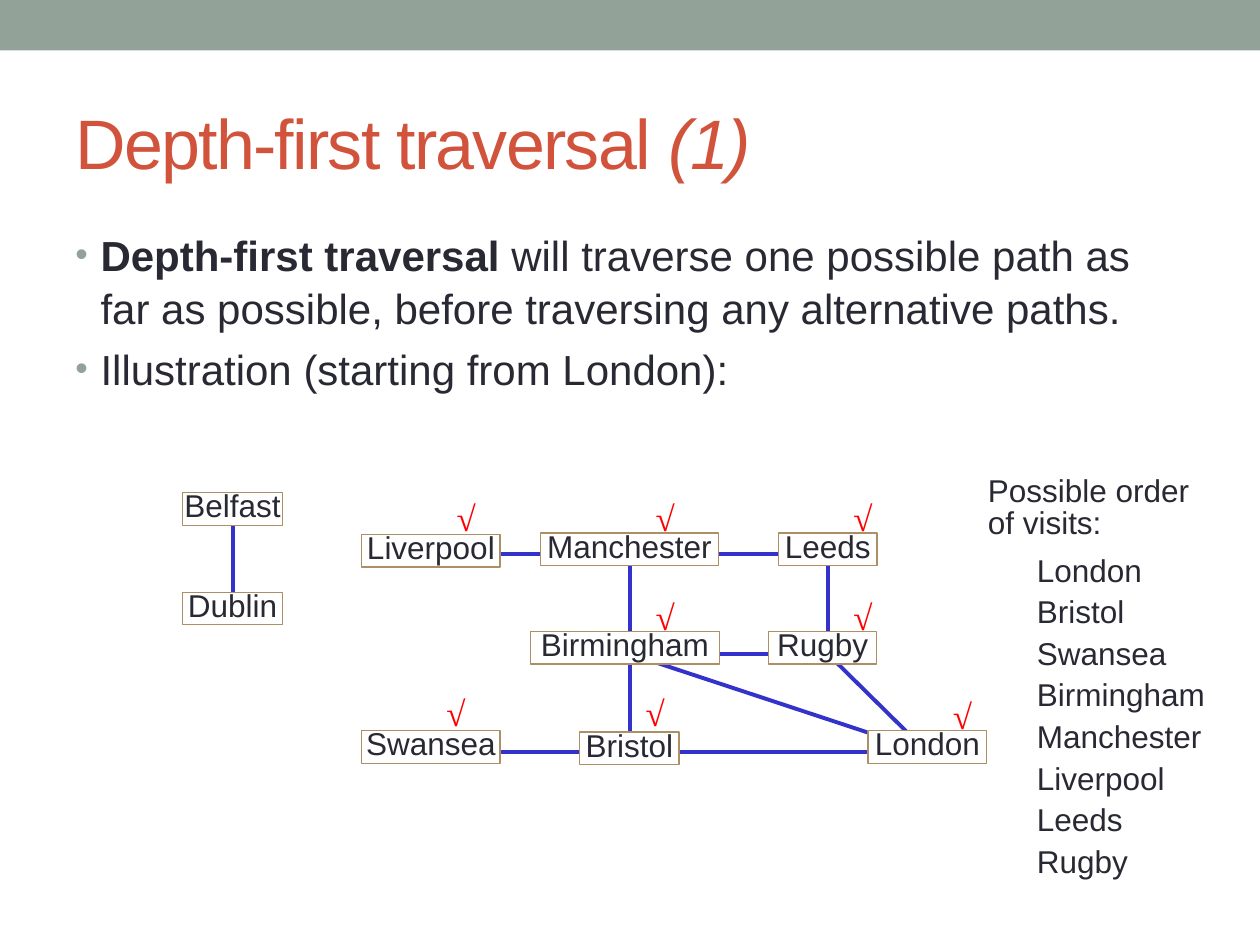
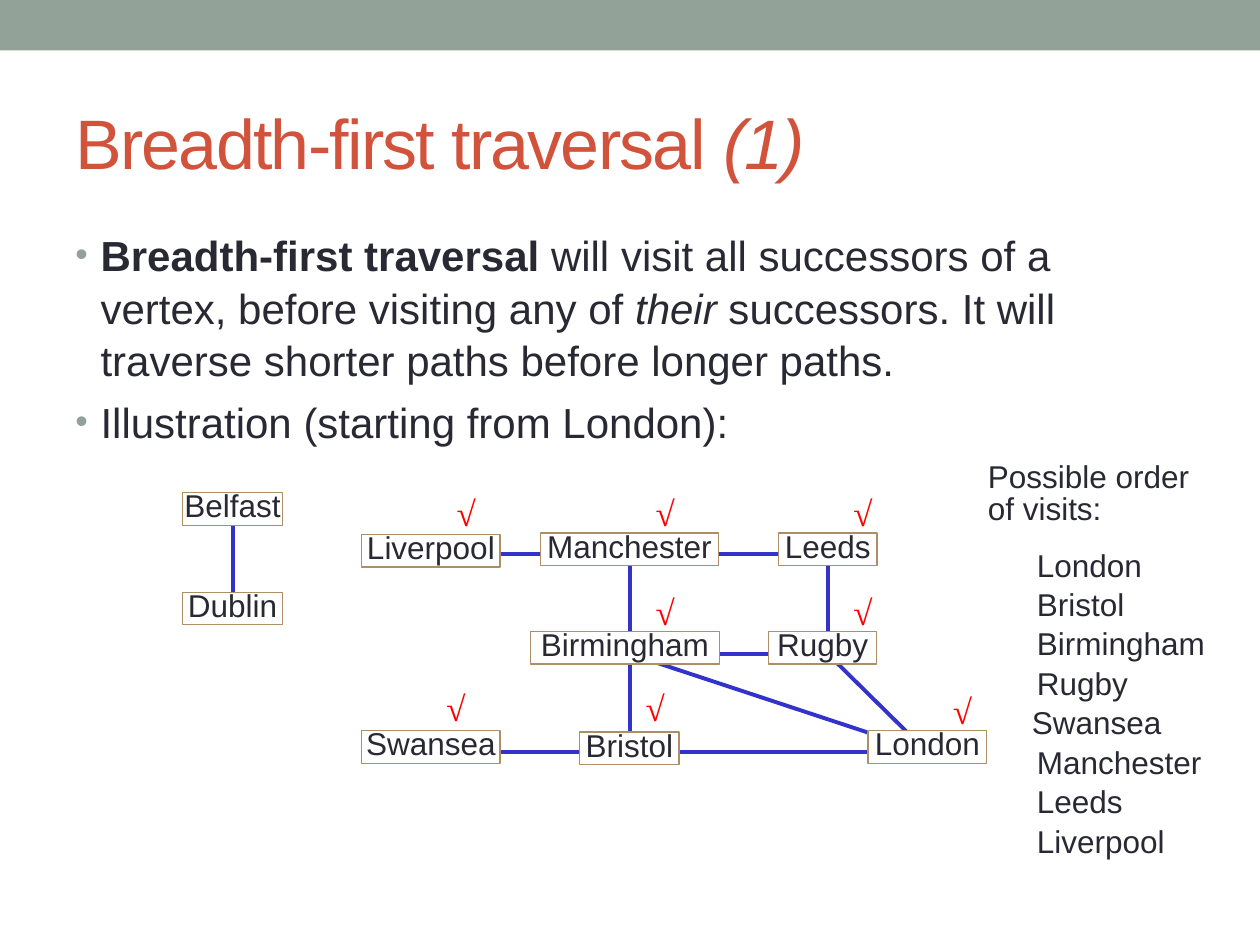
from lxml import etree
from pptx import Presentation
from pptx.dml.color import RGBColor
from pptx.enum.shapes import MSO_CONNECTOR as Connector, MSO_SHAPE as Shape
from pptx.enum.text import MSO_ANCHOR as Anchor, PP_ALIGN as Align
from pptx.oxml.ns import qn
from pptx.util import Inches, Pt

SAGE = RGBColor(0x93, 0xA2, 0x99)
BRICK = RGBColor(0xD2, 0x53, 0x3C)
INK = RGBColor(0x29, 0x29, 0x34)
EDGE_BLUE = RGBColor(0x33, 0x33, 0xCC)
TAN = RGBColor(0xAD, 0x8F, 0x67)
WHITE = RGBColor(0xFF, 0xFF, 0xFF)
RED = RGBColor(0xFF, 0x00, 0x00)

LABEL_HEIGHT = 0.26
CITY_LABELS = {
    "London": (6.89, 5.8, 0.94),
    "Manchester": (4.29, 4.23, 1.41),
    "Birmingham": (4.21, 5.01, 1.5),
    "Bristol": (4.6, 5.81, 0.79),
    "Swansea": (2.87, 5.8, 1.1),
    "Liverpool": (2.87, 4.24, 1.1),
    "Leeds": (6.18, 4.23, 0.78),
    "Rugby": (6.1, 5.01, 0.86),
    "Dublin": (1.45, 4.7, 0.79),
    "Belfast": (1.45, 3.91, 0.79),
}
VERTICES = {
    "London": (7.36, 5.97),
    "Manchester": (5, 4.4),
    "Birmingham": (5, 5.19),
    "Bristol": (5, 5.97),
    "Swansea": (3.42, 5.97),
    "Liverpool": (3.42, 4.4),
    "Leeds": (6.57, 4.4),
    "Rugby": (6.57, 5.19),
    "Dublin": (1.85, 4.85),
    "Belfast": (1.85, 4.07),
}
ROADS = [
    ("Manchester", "Birmingham"), ("Birmingham", "Bristol"),
    ("Leeds", "Rugby"), ("Rugby", "London"), ("Belfast", "Dublin"),
    ("Liverpool", "Manchester"), ("Manchester", "Leeds"),
    ("Birmingham", "Rugby"), ("Swansea", "Bristol"),
    ("Bristol", "London"), ("Birmingham", "London"),
]
CHECKS = {
    "London": (7.52, 5.51),
    "Bristol": (5.08, 5.49),
    "Swansea": (3.5, 5.49),
    "Birmingham": (5.16, 4.73),
    "Manchester": (5.16, 3.94),
    "Liverpool": (3.58, 3.94),
    "Leeds": (6.73, 3.94),
    "Rugby": (6.73, 4.73),
}


def add_span(para, text, size=18, color=INK, font="Arial", bold=False, italic=False, spacing=None):
    """Append formatted text to a paragraph."""
    span = para.add_run()
    span.text = text
    span.font.size = Pt(size)
    span.font.name = font
    span.font.bold = bold
    span.font.italic = italic
    span.font.color.rgb = color
    if spacing is not None:
        span.font._element.set("spc", str(spacing))


def prepare_frame(box, margins=(0, 0), anchor=Anchor.TOP):
    """Set wrapping, side and top margins and anchor, and return the frame."""
    frame = box.text_frame
    frame.word_wrap = True
    frame.vertical_anchor = anchor
    frame.margin_left = frame.margin_right = Inches(margins[0])
    frame.margin_top = frame.margin_bottom = Inches(margins[1])
    return frame


def add_text_box(shapes, at, margins=(0, 0), anchor=Anchor.TOP):
    """Add an empty text box and return its frame."""
    return prepare_frame(shapes.add_textbox(*map(Inches, at)), margins, anchor)


def add_rectangle(shapes, at, fill, line=None):
    """Add a flat rectangle, outlined if a line colour is given."""
    box = shapes.add_shape(Shape.RECTANGLE, *map(Inches, at))
    box.shadow.inherit = False
    box.fill.solid()
    box.fill.fore_color.rgb = fill
    if line is None:
        box.line.fill.background()
    else:
        box.line.color.rgb = line
        box.line.width = Pt(0.75)
    return box


def add_label(shapes, text, at):
    """Add a plain text label with fixed line height."""
    para = add_text_box(shapes, at).paragraphs[0]
    para.line_spacing = Pt(18)
    add_span(para, text)


def add_check(shapes, left, top):
    """Add a red tick that marks a visited city."""
    para = add_text_box(shapes, (left, top, 0.24, 0.33)).paragraphs[0]
    para.alignment = Align.CENTER
    add_span(para, "√", size=20, color=RED, font="Times New Roman", bold=True)


def add_road(shapes, start, end):
    """Join two vertices with a blue line."""
    road = shapes.add_connector(Connector.STRAIGHT, *map(Inches, start + end))
    road.line.color.rgb = EDGE_BLUE
    road.line.width = Pt(2.25)
    etree.SubElement(road._element.spPr, qn("a:effectLst"))


def add_city(shapes, name, left, top, width):
    """Add the boxed name of a city."""
    box = add_rectangle(shapes, (left, top, width, LABEL_HEIGHT), WHITE, TAN)
    para = prepare_frame(box).paragraphs[0]
    para.alignment = Align.CENTER
    para.line_spacing = Pt(18)
    add_span(para, name)


def add_city_graph(page):
    """Draw the road network as one group."""
    shapes = page.shapes.add_group_shape().shapes
    for start, end in ROADS:
        add_road(shapes, VERTICES[start], VERTICES[end])
    for name, place in CITY_LABELS.items():
        add_city(shapes, name, *place)


def set_bullet(para):
    """Give a paragraph a hanging sage bullet."""
    properties = para._p.get_or_add_pPr()
    properties.set("marL", str(Inches(0.2)))
    properties.set("indent", str(-Inches(0.2)))
    color = etree.SubElement(properties, qn("a:buClr"))
    etree.SubElement(color, qn("a:srgbClr"), val=str(SAGE))
    etree.SubElement(properties, qn("a:buSzPct"), val="85000")
    etree.SubElement(properties, qn("a:buFont"), typeface="Arial")
    etree.SubElement(properties, qn("a:buChar"), char="•")


def add_title(page, name):
    """Add the slide title with its italic part number."""
    frame = add_text_box(page.shapes, (0.5, 0.58, 9, 1.08), (0.1, 0.05), Anchor.MIDDLE)
    para = frame.paragraphs[0]
    style = dict(size=40, color=BRICK, spacing=-100)
    add_span(para, name + " ", **style)
    add_span(para, "(1)", italic=True, **style)


def add_bullets(page, bullets):
    """Add bullets, each a list of text and style pairs."""
    frame = add_text_box(page.shapes, (0.5, 1.75, 9, 5.33), (0.1, 0.05))
    for index, spans in enumerate(bullets):
        para = frame.add_paragraph() if index else frame.paragraphs[0]
        set_bullet(para)
        para.line_spacing = 1.05
        if index:
            para.space_before = Pt(4.8)
        for text, style in spans:
            add_span(para, text, size=24, **style)


def add_visits(page, order, heading_top, first_top, last_top, check_shift=0, nudges=None):
    """List the cities in visiting order, each grouped with its tick."""
    add_label(page.shapes, "Possible order of visits:", (7.84, heading_top, 1.73, 0.5))
    step = (last_top - first_top) / (len(order) - 1)
    for index, city in enumerate(order):
        shapes = page.shapes.add_group_shape().shapes
        left, top = CHECKS[city]
        add_check(shapes, left, top + check_shift)
        name_left = 8.23 + (nudges or {}).get(city, 0)
        add_label(shapes, city, (name_left, first_top + index * step, 1.34, 0.25))


def add_traversal_page(deck, name, explanation, **visits):
    """Build one slide that explains and illustrates a traversal."""
    page = deck.slides.add_slide(deck.slide_layouts[6])
    add_rectangle(page.shapes, (0, 0, 10, 0.4), SAGE)
    add_title(page, name)
    add_bullets(page, [
        [(name, dict(bold=True)), *explanation],
        [("Illustration (starting from London):", {})],
    ])
    add_city_graph(page)
    add_visits(page, **visits)


def main():
    """Build and save the deck."""
    deck = Presentation()
    deck.slide_width, deck.slide_height = Inches(10), Inches(7.5)
    add_traversal_page(
        deck, "Depth-first traversal",
        [(" will traverse one possible path as far as possible, "
          "before traversing any alternative paths.", {})],
        order=["London", "Bristol", "Swansea", "Birmingham",
               "Manchester", "Liverpool", "Leeds", "Rugby"],
        heading_top=3.79, first_top=4.42, last_top=6.73,
    )
    add_traversal_page(
        deck, "Breadth-first traversal",
        [(" will visit all successors of a vertex, before visiting any of ", {}),
         ("their", dict(italic=True)),
         (" successors. It will traverse shorter paths before longer paths.", {})],
        order=["London", "Bristol", "Birmingham", "Rugby",
               "Swansea", "Manchester", "Leeds", "Liverpool"],
        heading_top=3.68, first_top=4.38, last_top=6.57,
        check_shift=-0.04, nudges={"Swansea": -0.04},
    )
    deck.save("out.pptx")


if __name__ == "__main__":
    main()
